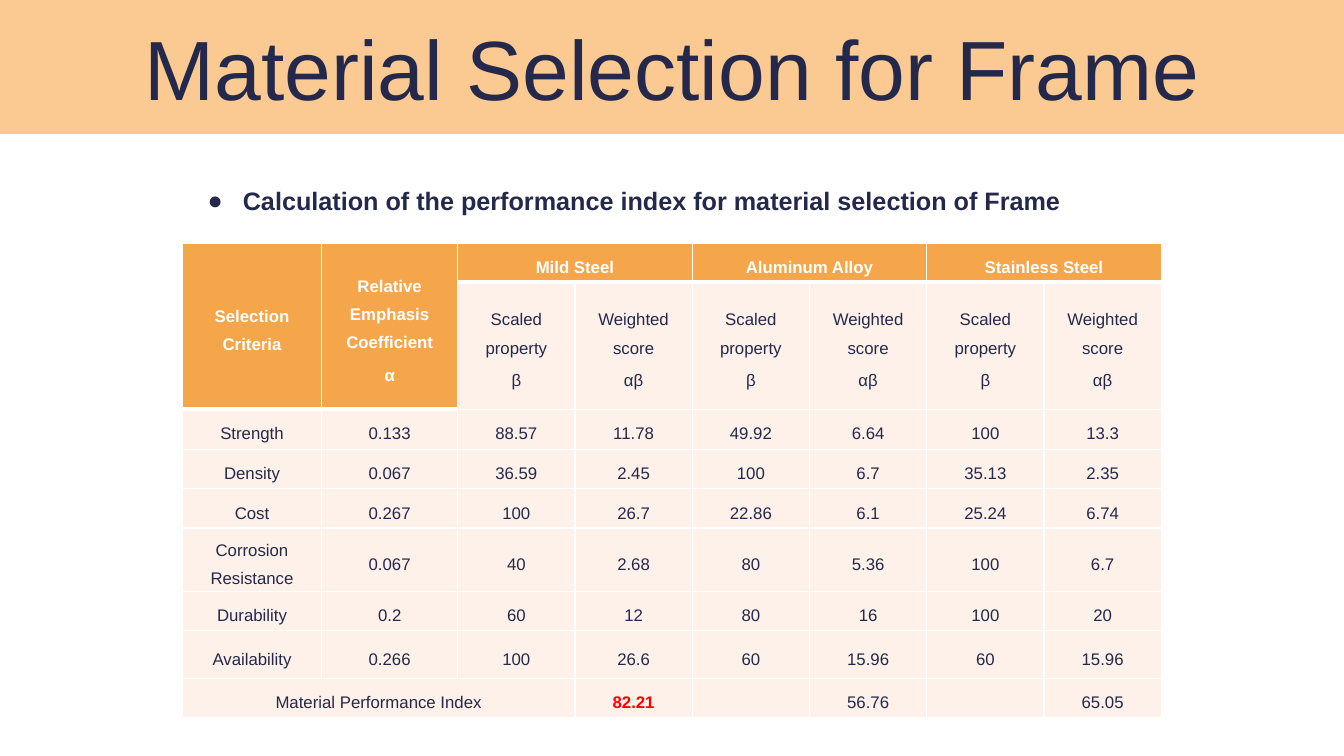
from lxml import etree
from pptx import Presentation
from pptx.dml.color import RGBColor
from pptx.enum import shapes, text
from pptx.oxml import ns
from pptx.util import Inches, Pt

NAVY = RGBColor(0x24, 0x29, 0x4B)
PEACH = RGBColor(0xFA, 0xCA, 0x92)
ORANGE = RGBColor(0xF6, 0xA6, 0x4A)
CREAM = RGBColor(0xFD, 0xF1, 0xE9)
WHITE = RGBColor(0xFF, 0xFF, 0xFF)
RED = RGBColor(0xFF, 0x00, 0x00)

MATERIALS = ["Mild Steel", "Aluminum Alloy", "Stainless Steel"]
CRITERIA = [
    ["Strength", "0.133", "88.57", "11.78", "49.92", "6.64", "100", "13.3"],
    ["Density", "0.067", "36.59", "2.45", "100", "6.7", "35.13", "2.35"],
    ["Cost", "0.267", "100", "26.7", "22.86", "6.1", "25.24", "6.74"],
    ["Corrosion Resistance", "0.067", "40", "2.68", "80", "5.36", "100", "6.7"],
    ["Durability", "0.2", "60", "12", "80", "16", "100", "20"],
    ["Availability", "0.266", "100", "26.6", "60", "15.96", "60", "15.96"],
]
HEADINGS = ["Selection Criteria", "Relative Emphasis Coefficient\nα"]
SCORES = ["Scaled property\nβ", "Weighted score\nαβ"]
INDEX = ["Material Performance Index", "", "", "82.21", "", "56.76", "", "65.05"]
ROWS = [
    HEADINGS + [label for name in MATERIALS for label in (name, "")],
    ["", ""] + SCORES * len(MATERIALS),
    *CRITERIA,
    INDEX,
]
ROW_HEIGHTS = [0.39, 1.26, 0.4, 0.39, 0.39, 0.63, 0.39, 0.47, 0.39]
TABLE_WIDTH = 9.71
LEAD_WIDTHS = [1.38, 1.35]


def apply(target, values):
    for name, value in values.items():
        setattr(target, name, value)


def style_font(font, size, color, bold=False):
    apply(font, {"name": "Arial", "size": Pt(size), "bold": bold})
    font.color.rgb = color


def pad(frame):
    sides = ("left", "top", "right", "bottom")
    apply(frame, {f"margin_{side}": Inches(0.1) for side in sides})
    frame.word_wrap = True


def add_title_band(slide, wording):
    band = slide.shapes.add_shape(
        shapes.MSO_SHAPE.RECTANGLE, 0, 0, Inches(13.33), Inches(1.33))
    band.shadow.inherit = False
    band.fill.solid()
    band.fill.fore_color.rgb = PEACH
    band.line.fill.background()
    pad(band.text_frame)
    band.text_frame.vertical_anchor = text.MSO_ANCHOR.MIDDLE
    title = band.text_frame.paragraphs[0]
    title.text = wording
    title.alignment = text.PP_ALIGN.CENTER
    style_font(title.font, 60, NAVY)


def add_bulleted_line(slide, wording):
    subtitle = slide.shapes.add_textbox(
        Inches(1.81), Inches(1.74), Inches(TABLE_WIDTH), Inches(0.53))
    pad(subtitle.text_frame)
    line = subtitle.text_frame.paragraphs[0]
    line.text = wording
    properties = line._p.get_or_add_pPr()
    properties.set("marL", str(Inches(0.5)))
    properties.set("indent", str(-Inches(0.35)))
    bullet_color = etree.SubElement(properties, ns.qn("a:buClr"))
    etree.SubElement(bullet_color, ns.qn("a:srgbClr"), val=str(NAVY))
    etree.SubElement(properties, ns.qn("a:buFont"), typeface="Arial")
    etree.SubElement(properties, ns.qn("a:buChar"), char="●")
    style_font(line.font, 18, NAVY, bold=True)


def is_header(row, column):
    return row == 0 or (row == 1 and column < len(HEADINGS))


def add_borders(cell, widths):
    properties = cell._tc.get_or_add_tcPr()
    for side, width in widths.items():
        border = etree.SubElement(
            properties, ns.qn(f"a:ln{side}"), w=str(Pt(width)))
        fill = etree.SubElement(border, ns.qn("a:solidFill"))
        etree.SubElement(fill, ns.qn("a:srgbClr"), val=str(WHITE))


def fill_cell(cell, wording, row, column):
    header = is_header(row, column)
    below_header = row > 0 and is_header(row - 1, column) and not header
    add_borders(cell, {"L": 1, "R": 1, "T": 3 if below_header else 1,
                       "B": 3 if header else 1})
    cell.fill.solid()
    cell.fill.fore_color.rgb = ORANGE if header else CREAM
    apply(cell, {
        "margin_left": Inches(0.07), "margin_right": Inches(0.07),
        "margin_top": 0, "margin_bottom": 0,
        "vertical_anchor": text.MSO_ANCHOR.MIDDLE,
    })
    if not wording:
        return
    best = wording == "82.21"
    color = WHITE if header else RED if best else NAVY
    cell.text = wording
    for number, paragraph in enumerate(cell.text_frame.paragraphs):
        apply(paragraph, {
            "alignment": text.PP_ALIGN.CENTER, "line_spacing": 1.5,
            "space_before": Pt(3 if number else 0),
        })
        for run in paragraph.runs:
            style_font(run.font, 12, color, bold=header or best)


def add_index_table(slide):
    column_count = len(ROWS[0])
    table = slide.shapes.add_table(
        len(ROWS), column_count, Inches(1.81), Inches(2.41),
        Inches(TABLE_WIDTH), Inches(sum(ROW_HEIGHTS))).table
    apply(table, {"first_row": False, "horz_banding": False})

    # Column widths and row heights
    score_count = column_count - len(LEAD_WIDTHS)
    score_width = (TABLE_WIDTH - sum(LEAD_WIDTHS)) / score_count
    widths = LEAD_WIDTHS + [score_width] * score_count
    for column, width in zip(table.columns, widths):
        column.width = Inches(width)
    for row, height in zip(table.rows, ROW_HEIGHTS):
        row.height = Inches(height)

    # Cell contents
    for row, labels in enumerate(ROWS):
        for column, label in enumerate(labels):
            fill_cell(table.cell(row, column), label, row, column)

    # Merged headings and index label
    for column in range(len(HEADINGS)):
        table.cell(0, column).merge(table.cell(1, column))
    for column in range(len(HEADINGS), column_count, len(SCORES)):
        table.cell(0, column).merge(table.cell(0, column + 1))
    last = len(ROWS) - 1
    table.cell(last, 0).merge(table.cell(last, 2))


def main():
    deck = Presentation()
    deck.slide_width, deck.slide_height = Inches(13.33), Inches(7.5)
    slide = deck.slides.add_slide(deck.slide_layouts[6])
    add_title_band(slide, "Material Selection for Frame")
    add_bulleted_line(
        slide,
        "Calculation of the performance index for material selection of Frame")
    add_index_table(slide)
    deck.save("out.pptx")


if __name__ == "__main__":
    main()
